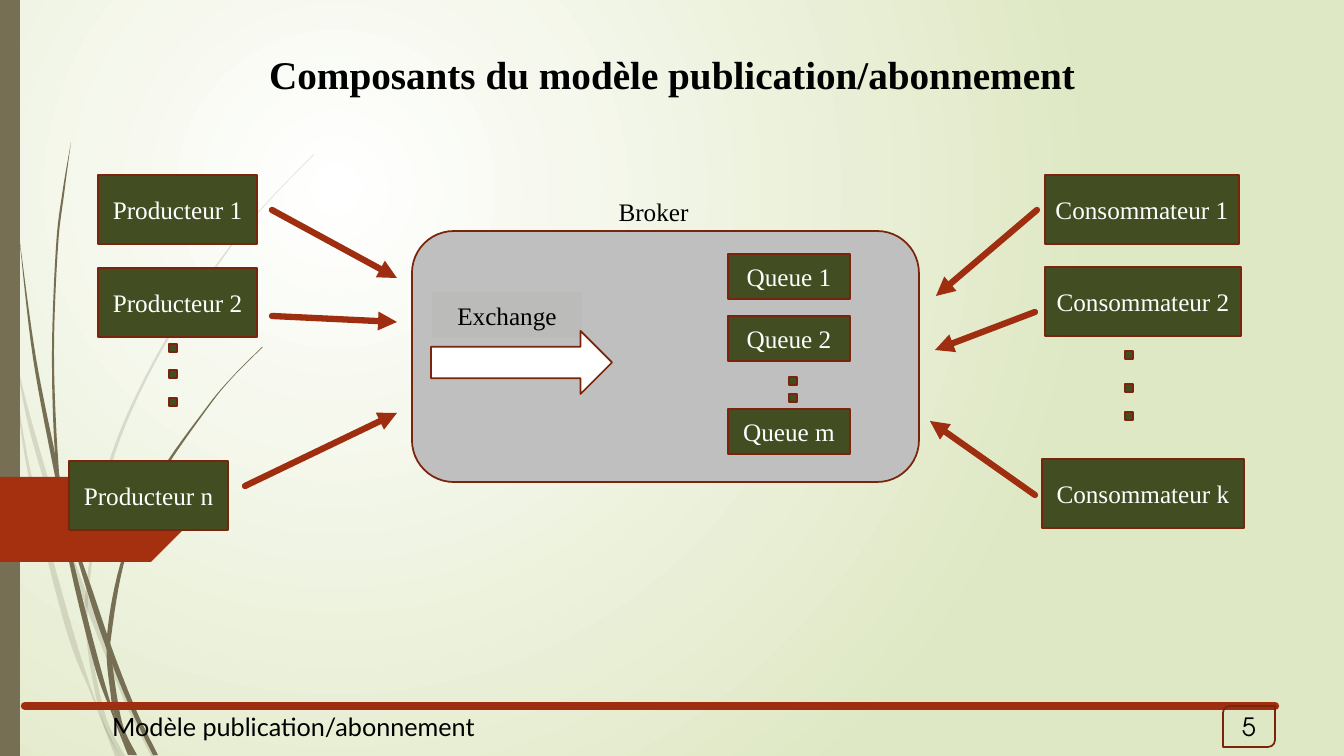
from lxml import etree
from pptx import Presentation
from pptx.dml.color import RGBColor
from pptx.enum.shapes import MSO_CONNECTOR, MSO_SHAPE
from pptx.enum.text import MSO_ANCHOR, MSO_AUTO_SIZE, PP_ALIGN
from pptx.oxml.ns import qn
from pptx.util import Emu, Pt

EMU_PER_PIXEL = 914400 / 100.8
RECTANGLE = MSO_SHAPE.RECTANGLE
ROUNDED = MSO_SHAPE.ROUNDED_RECTANGLE
RIGHT_ARROW = MSO_SHAPE.RIGHT_ARROW
DIAGONAL_ROUNDED = MSO_SHAPE.ROUND_2_DIAG_RECTANGLE
STRAIGHT = MSO_CONNECTOR.STRAIGHT
MIDDLE = MSO_ANCHOR.MIDDLE
CENTER = PP_ALIGN.CENTER
NO_AUTOFIT = MSO_AUTO_SIZE.NONE

SERIF = "Times New Roman"
BLACK, WHITE, GREY = "000000", "FFFFFF", "BFBFBF"
BROWN, GREEN, RED, ARROW_RED, BORDER = "766F54", "424D22", "A53010", "9E2E0F", "7A240C"

# Each stalk has two edges, which run from tip to root
PALE_STALKS = [
    ([(14, 348), (28, 408), (62, 524), (86, 591), (128, 698), (156, 756)],
     [(14, 348), (29, 428), (58, 526), (85, 604), (124, 700), (151, 756)]),
    ([(11, 353), (28, 474), (65, 626), (93, 699), (115, 756)],
     [(11, 353), (31, 473), (71, 624), (100, 713), (120, 756)]),
    ([(314, 154), (270, 199), (230, 246), (159, 351), (108, 465), (86, 589),
      (88, 651), (102, 720), (120, 756)],
     [(314, 155), (270, 200), (231, 247), (161, 352), (111, 466), (89, 589),
      (92, 651), (106, 717), (125, 756)]),
]
DARK_STALKS = [
    ([(19, 235), (33, 358), (56, 481), (73, 560), (99, 664), (118, 728)],
     [(19, 235), (36, 358), (59, 474), (73, 560), (99, 664), (118, 728)]),
    ([(71, 142), (62, 195), (56, 247), (52, 352), (55, 453), (64, 509),
      (89, 597), (111, 661), (133, 714), (153, 755)],
     [(71, 142), (64, 195), (58, 247), (54, 352), (58, 457), (65, 509),
      (94, 595), (114, 654), (137, 712), (158, 755)]),
    ([(57, 481), (69, 561), (94, 664), (112, 714), (128, 755)],
     [(57, 481), (73, 560), (99, 662), (117, 723), (132, 755)]),
    ([(262, 347), (233, 376), (206, 408), (157, 478), (123, 555), (107, 636),
      (111, 697), (117, 723), (131, 755)],
     [(263, 347), (233, 377), (207, 409), (159, 480), (126, 556), (111, 638),
      (112, 661), (122, 722), (137, 755)]),
]
BOXES = [
    ("Producteur 1", 98, 175, 159, 69), ("Producteur 2", 98, 268, 159, 69),
    ("Producteur n", 69, 461, 159, 69),
    ("Consommateur 1", 1045, 175, 194, 69), ("Consommateur 2", 1045, 267, 196, 69),
    ("Consommateur k", 1042, 459, 202, 69),
    ("Queue 1", 728, 254, 122, 45), ("Queue 2", 728, 316, 122, 45),
    ("Queue m", 728, 409, 122, 45),
]
DOT_COLUMNS = [(169, (344, 370, 398)), (1125, (351, 384, 412)), (789, (377, 394))]
ARROWS = [
    (272, 210, 397, 278), (272, 316, 397, 322), (245, 486, 397, 413),
    (1037, 210, 936, 296), (1035, 312, 935, 350), (1035, 495, 930, 421),
]


def px(length):
    return Emu(round(length * EMU_PER_PIXEL))


def colour(code):
    return RGBColor.from_string(code)


def paint(shape, fill=None, line=None, opacity=100):
    shape.shadow.inherit = False
    if fill:
        shape.fill.solid()
        shape.fill.fore_color.rgb = colour(fill)
        if opacity < 100:
            tint = shape.fill._xPr.find(qn("a:solidFill"))[0]
            etree.SubElement(tint, qn("a:alpha"), val=str(opacity * 1000))
    else:
        shape.fill.background()
    if line:
        shape.line.color.rgb = colour(line)
        shape.line.width = Pt(1.25)
    else:
        shape.line.fill.background()


def write(shape, text, text_colour=BLACK, font=SERIF, size=18, bold=False):
    frame = shape.text_frame
    frame.word_wrap = True
    frame.auto_size = NO_AUTOFIT
    frame.vertical_anchor = MIDDLE
    frame.margin_left = frame.margin_right = frame.margin_top = frame.margin_bottom = 0
    para = frame.paragraphs[0]
    para.text = text
    para.alignment = CENTER
    para.font.name = font
    para.font.size = Pt(size)
    para.font.bold = bold
    para.font.color.rgb = colour(text_colour)


def add_box(page, kind, left, top, width, height, fill=GREEN, line=BORDER, opacity=100):
    box = page.shapes.add_shape(kind, px(left), px(top), px(width), px(height))
    paint(box, fill, line, opacity)
    return box


def add_label(page, text, left, top, width, height, font=SERIF):
    label = page.shapes.add_textbox(px(left), px(top), px(width), px(height))
    write(label, text, font=font)


def add_line(page, x1, y1, x2, y2, width, arrow=False):
    line = page.shapes.add_connector(STRAIGHT, px(x1), px(y1), px(x2), px(y2))
    line.line.color.rgb = colour(ARROW_RED)
    line.line.width = Pt(width)
    outline = line.line._get_or_add_ln()
    outline.set("cap", "rnd")
    if arrow:
        etree.SubElement(outline, qn("a:tailEnd"), type="triangle")
    etree.SubElement(line._element.spPr, qn("a:effectLst"))


def add_outline(page, points, fill, opacity=100):
    corners = [(px(x), px(y)) for x, y in points]
    builder = page.shapes.build_freeform(*corners[0])
    builder.add_line_segments(corners[1:], close=True)
    paint(builder.convert_to_shape(), fill, opacity=opacity)


def smooth_edge(points, steps=8):
    """Catmull-Rom curve through the points."""
    padded = [points[0], *points, points[-1]]
    curve = []
    for a, b, c, d in zip(padded, padded[1:], padded[2:], padded[3:]):
        for step in range(steps):
            t = step / steps
            curve.append(tuple(
                q + t * (r - p) / 2 + t**2 * (2 * p - 5 * q + 4 * r - s) / 2
                + t**3 * (3 * q - p - 3 * r + s) / 2
                for p, q, r, s in zip(a, b, c, d)))
    return curve + [points[-1]]


def add_stalk(page, edges, opacity):
    near, far = map(smooth_edge, edges)
    add_outline(page, near + far[::-1], BROWN, opacity)


def set_background(page):
    fill = page.background.fill
    fill.gradient()
    for stop, code, position in zip(fill.gradient_stops, (WHITE, "DFE8C4"), (0, 1)):
        stop.color.rgb = colour(code)
        stop.position = position
    gradient = page._element.find(".//" + qn("a:gradFill"))
    gradient.remove(gradient.find(qn("a:lin")))
    circle = etree.SubElement(gradient, qn("a:path"), path="circle")
    etree.SubElement(circle, qn("a:fillToRect"), l="50000", t="50000", r="100000", b="100000")


def add_decoration(page):
    for stalks, opacity in ((PALE_STALKS, 20), (DARK_STALKS, 100)):
        for edges in stalks:
            add_stalk(page, edges, opacity)
    add_box(page, RECTANGLE, 0, 0, 20, 756, BROWN, None)
    add_outline(page, [(0, 477), (151, 477), (192, 518), (192, 521), (151, 562), (0, 562)], RED)


def add_footer(page):
    add_label(page, "Modèle publication/abonnement", 69, 706, 449, 41, "Lato")
    add_line(page, 25, 706, 1275, 706, 6)
    number = add_box(page, DIAGONAL_ROUNDED, 1223, 706, 52, 41, None)
    write(number, "5", font="TeX Gyre Adventor")


def add_diagram(page):
    # Broker and its exchange
    add_box(page, ROUNDED, 412, 231, 507, 251, GREY)
    add_label(page, "Broker", 574, 186, 159, 51)
    add_box(page, RIGHT_ARROW, 431, 331, 181, 63, WHITE)
    exchange = add_box(page, RECTANGLE, 432, 292, 150, 46, GREEN, None, 3)
    write(exchange, "Exchange")

    # Producers, consumers and queues
    for name, *place in BOXES:
        write(add_box(page, RECTANGLE, *place), name, WHITE)
    for left, tops in DOT_COLUMNS:
        for top in tops:
            add_box(page, RECTANGLE, left, top, 8, 8)
    for ends in ARROWS:
        add_line(page, *ends, 4.5, arrow=True)


def main():
    deck = Presentation()
    deck.slide_width, deck.slide_height = px(1344), px(756)
    page = deck.slides.add_slide(deck.slide_layouts[5])
    set_background(page)

    # Title
    title = page.shapes.title
    title.left, title.top, title.width, title.height = px(245), px(46), px(854), px(56)
    write(title, "Composants du modèle publication/abonnement", size=28, bold=True)

    add_decoration(page)
    add_footer(page)
    add_diagram(page)
    deck.save("out.pptx")


main()
